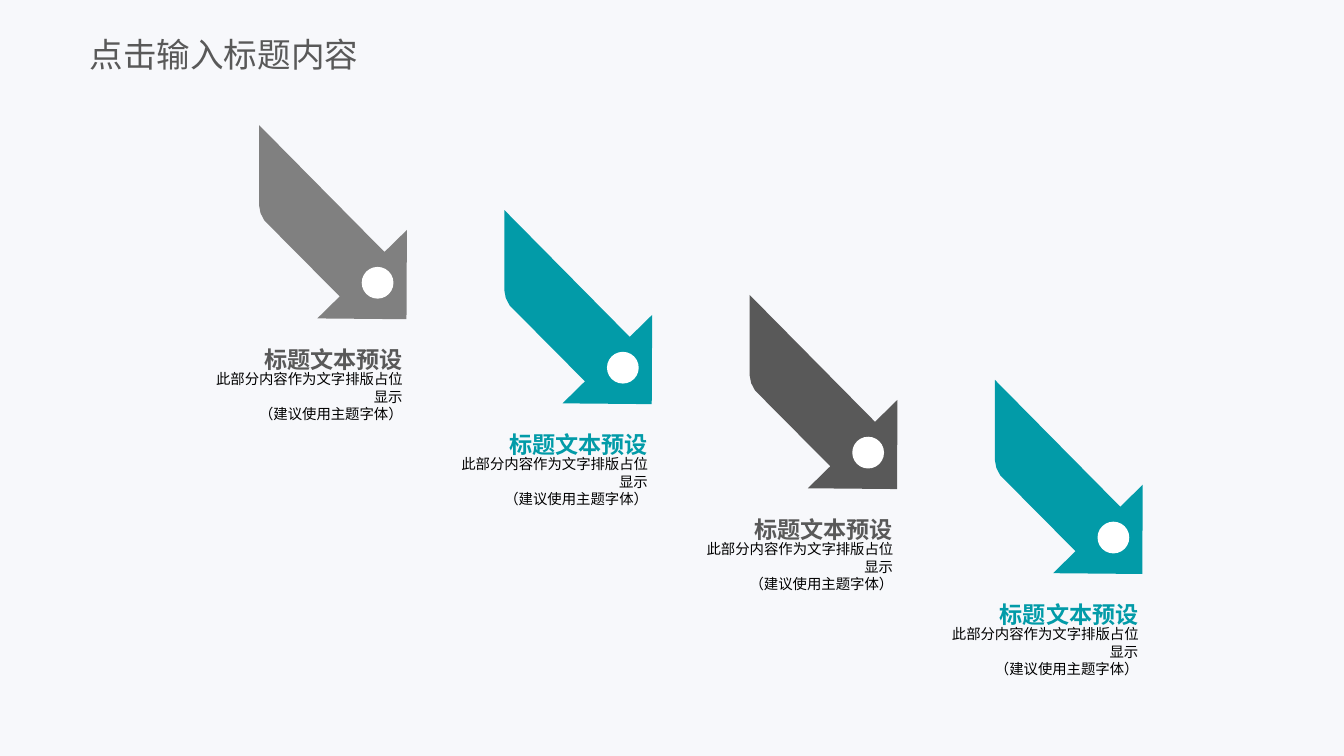
"""Slide with four descending arrows, each captioned with a heading and a note."""
from pptx import Presentation
from pptx.dml.color import RGBColor
from pptx.enum import shapes, text
from pptx.oxml import ns, xmlchemy
from pptx.util import Pt

COLORS = {"page": "F7F8FB", "gray": "808080", "teal": "029BA8",
          "dark": "595959", "black": "000000", "white": "FFFFFF"}
FONT = "Noto Sans CJK SC"
ARROW = [(0, 0), (67.2, 68), (79.2, 56.2), (79, 104), (31.2, 103.6),
         (43.2, 91.8), (6.2, 54.5), (2.9, 51.2), (0.8, 47.2), (0, 43)]
STEPS = [("gray", "dark"), ("teal", "teal"), ("dark", "dark"), ("teal", "teal")]


def paint(s, color):
    s.shadow.inherit = False
    s.fill.solid()
    s.fill.fore_color.rgb = RGBColor.from_string(COLORS[color])
    s.line.fill.background()


def add_text(box, words, size, color, inset, align, anchor, bold=False):
    tf = slide.shapes.add_textbox(*[Pt(v) for v in box]).text_frame
    tf.word_wrap = True
    tf.vertical_anchor = anchor
    tf.margin_left = tf.margin_right = Pt(inset[0])
    tf.margin_top = tf.margin_bottom = Pt(inset[1])
    tf.text = words
    p = tf.paragraphs[0]
    p.alignment = align
    p.line_spacing = 1.0
    for r in p.runs:
        r.font.size = Pt(size)
        r.font.bold = bold
        r.font.name = FONT
        r.font.color.rgb = RGBColor.from_string(COLORS[color])
        ea = xmlchemy.OxmlElement("a:ea")
        ea.set("typeface", FONT)
        r.font._element.find(ns.qn("a:latin")).addnext(ea)


prs = Presentation()
prs.slide_width, prs.slide_height = Pt(720), Pt(405)
slide = prs.slides.add_slide(prs.slide_layouts[6])
slide.background.fill.solid()
slide.background.fill.fore_color.rgb = RGBColor.from_string(COLORS["page"])

for i, (arrow_color, heading_color) in enumerate(STEPS):
    x, y = 138.8 + 131.4 * i, 67 + 45.5 * i
    points = [(Pt(x + dx), Pt(y + dy)) for dx, dy in ARROW]
    builder = slide.shapes.build_freeform(*points[0])
    builder.add_line_segments(points[1:], close=True)
    paint(builder.convert_to_shape(), arrow_color)

    badge = slide.shapes.add_shape(shapes.MSO_SHAPE.OVAL, Pt(x + 55), Pt(y + 76), Pt(17), Pt(17))
    paint(badge, "white")

    add_text((x - 34, y + 130.3, 116.6, 30.2),
             "此部分内容作为文字排版占位显示\v（建议使用主题字体）", 7.7, "black", (5.8, 0),
             text.PP_ALIGN.RIGHT, text.MSO_ANCHOR.MIDDLE)
    add_text((x - 34, y + 118, 116.6, 12.2), "标题文本预设", 12.4, heading_color, (5.8, 0),
             text.PP_ALIGN.RIGHT, text.MSO_ANCHOR.TOP, bold=True)

add_text((48, 13.7, 168, 30.2), "点击输入标题内容", 18, "dark", (0, 3.6),
         text.PP_ALIGN.LEFT, text.MSO_ANCHOR.MIDDLE)

prs.save("out.pptx")
